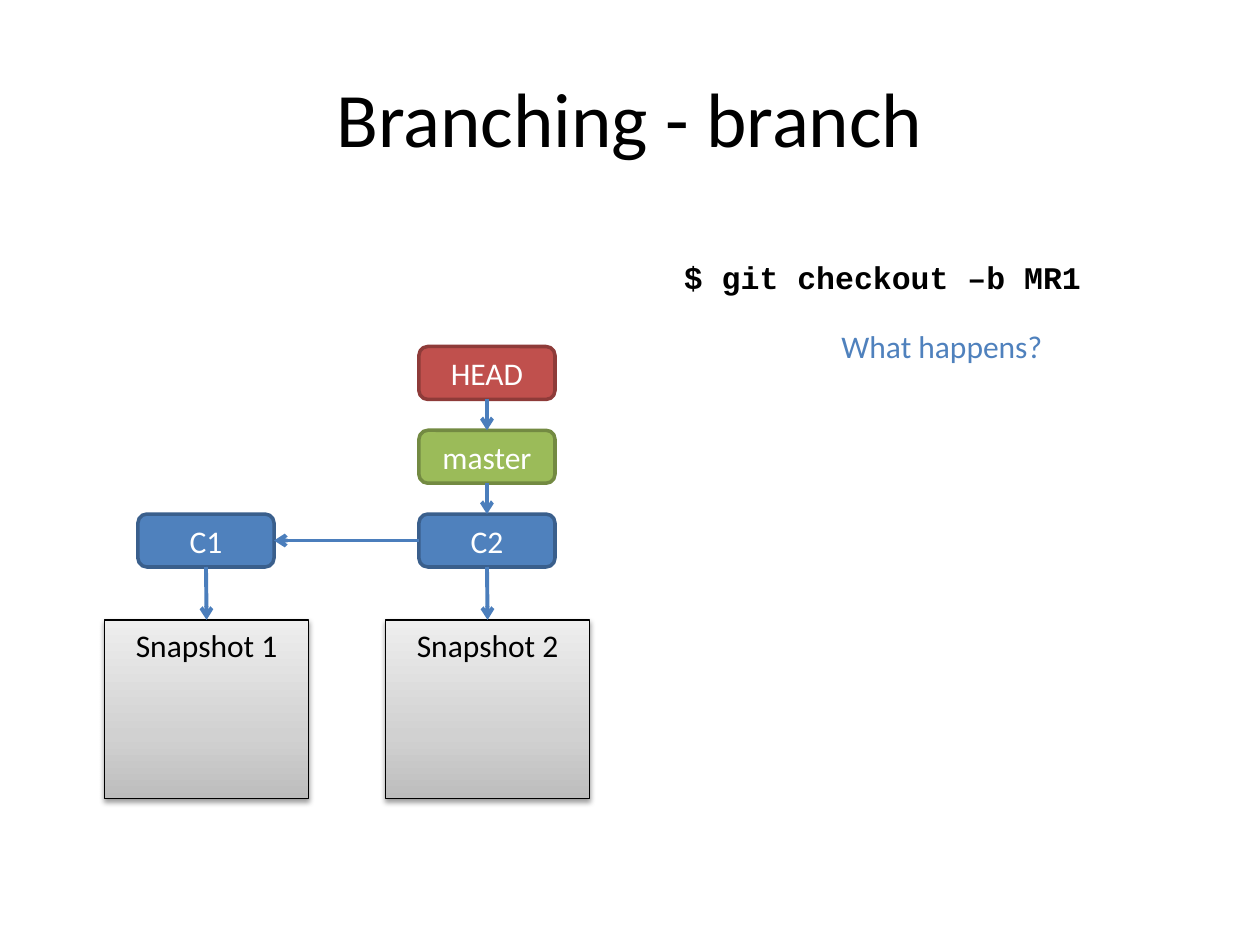
import pptx
import pptx.util
import pptx.dml.color
import pptx.enum.shapes
import pptx.enum.text
import pptx.oxml
import pptx.oxml.ns

Inches, Pt = pptx.util.Inches, pptx.util.Pt
SHAPE = pptx.enum.shapes.MSO_SHAPE
ALIGN = pptx.enum.text.PP_ALIGN
ANCHOR = pptx.enum.text.MSO_ANCHOR
NS = pptx.oxml.ns.nsdecls("a")
COLORS = {
    "black": "000000", "white": "FFFFFF", "arrow": "4B7EBC",
    "blue": "4F81BD", "navy": "3A5F8C",
    "green": "9BBB59", "olive": "738A42",
    "red": "C0504D", "wine": "8E3B39",
}
GREYS = [(0, "BDBDBD"), (35, "D1D1D1"), (100, "EEEEEE")]
TOP, LEFT, BOTTOM, RIGHT = range(4)


def color(name):
    return pptx.dml.color.RGBColor.from_string(COLORS[name])


def write(shape, text, ink, size=18, font="Calibri", bold=False,
          align=ALIGN.CENTER, anchor=ANCHOR.MIDDLE, wrap=True):
    frame = shape.text_frame
    frame.word_wrap = wrap
    frame.vertical_anchor = anchor
    par = frame.paragraphs[0]
    par.alignment = align
    run = par.add_run()
    run.text = text
    run.font.name, run.font.size, run.font.bold = font, Pt(size), bold
    run.font.color.rgb = color(ink)


def add_text(slide, box, text, ink, **style):
    shape = slide.shapes.add_textbox(*map(Inches, box))
    write(shape, text, ink, **style)


def add_box(slide, kind, box, line, width):
    shape = slide.shapes.add_shape(kind, *map(Inches, box))
    shape.shadow.inherit = False
    shape.line.color.rgb = color(line)
    shape.line.width = Pt(width)
    return shape


def add_node(slide, box, text, fill, line):
    node = add_box(slide, SHAPE.ROUNDED_RECTANGLE, box, line, 2)
    node.fill.solid()
    node.fill.fore_color.rgb = color(fill)
    write(node, text, "white")
    return node


def add_snap(slide, box, text):
    """Add a snapshot: a grey gradient box with a soft shadow."""
    snap = add_box(slide, SHAPE.RECTANGLE, box, "black", 0.75)
    stops = "".join(f'<a:gs pos="{pos * 1000}"><a:srgbClr val="{grey}"/></a:gs>'
                    for pos, grey in GREYS)
    props = snap.element.spPr
    props.insert(2, pptx.oxml.parse_xml(
        f'<a:gradFill {NS} rotWithShape="1"><a:gsLst>{stops}</a:gsLst>'
        '<a:lin ang="16200000" scaled="0"/></a:gradFill>'))
    props.find(pptx.oxml.ns.qn("a:effectLst")).append(pptx.oxml.parse_xml(
        f'<a:outerShdw {NS} blurRad="{Pt(3.1)}" dist="{Pt(1.6)}" dir="5400000" '
        f'rotWithShape="0"><a:srgbClr val="{COLORS["black"]}">'
        '<a:alpha val="38000"/></a:srgbClr></a:outerShdw>'))
    write(snap, text, "black", anchor=ANCHOR.TOP)
    return snap


def add_arrow(slide, start, end, out=BOTTOM, into=TOP):
    arrow = slide.shapes.add_connector(
        pptx.enum.shapes.MSO_CONNECTOR.STRAIGHT, 0, 0, 0, 0)
    arrow.begin_connect(start, out)
    arrow.end_connect(end, into)
    arrow.line.color.rgb = color("arrow")
    arrow.line.width = Pt(2.25)
    arrow.line._get_or_add_ln().append(
        pptx.oxml.parse_xml(f'<a:tailEnd {NS} type="arrow"/>'))
    arrow.element.spPr.append(pptx.oxml.parse_xml(f"<a:effectLst {NS}/>"))


def add_graph(slide, box):
    """Draw HEAD, branch, commits and snapshots in the given box."""
    left, top, width, height = box
    wide, tall, step = 1.08, 0.42, 0.665
    size, deep = 1.62, 1.42
    far = left + width - size
    inset = 0.265

    def node(edge, row, text, fill, line):
        place = (edge + inset, top + row * step, wide, tall)
        return add_node(slide, place, text, fill, line)

    head = node(far, 0, "HEAD", "red", "wine")
    branch = node(far, 1, "master", "green", "olive")
    first = node(left, 2, "C1", "blue", "navy")
    second = node(far, 2, "C2", "blue", "navy")
    base = top + height - deep
    snaps = [add_snap(slide, (edge, base, size, deep), f"Snapshot {num}")
             for num, edge in enumerate((left, far), 1)]

    for start, end in [(head, branch), (branch, second),
                       (first, snaps[0]), (second, snaps[1])]:
        add_arrow(slide, start, end)
    add_arrow(slide, second, first, LEFT, RIGHT)


def add_prompt(slide, box):
    """Place the command and, below it, the question."""
    left, top, width, height = box
    style = {"align": ALIGN.LEFT, "anchor": ANCHOR.TOP, "wrap": False}
    add_text(slide, (left, top, width, 0.4), "$ git checkout –b MR1", "black",
             font="Courier New", bold=True, **style)
    add_text(slide, (left + 1.25, top + height - 0.4, 1.82, 0.4),
             "What happens?", "blue", **style)


def main():
    deck = pptx.Presentation()
    deck.slide_width, deck.slide_height = Inches(10), Inches(7.5)
    slide = deck.slides.add_slide(deck.slide_layouts[6])
    add_text(slide, (0.5, 0.3, 9, 1.25), "Branching - branch", "black", size=44)
    add_graph(slide, (0.83, 2.75, 3.85, 3.59))
    add_prompt(slide, (5.33, 2, 3.37, 0.95))
    deck.save("out.pptx")


if __name__ == "__main__":
    main()
